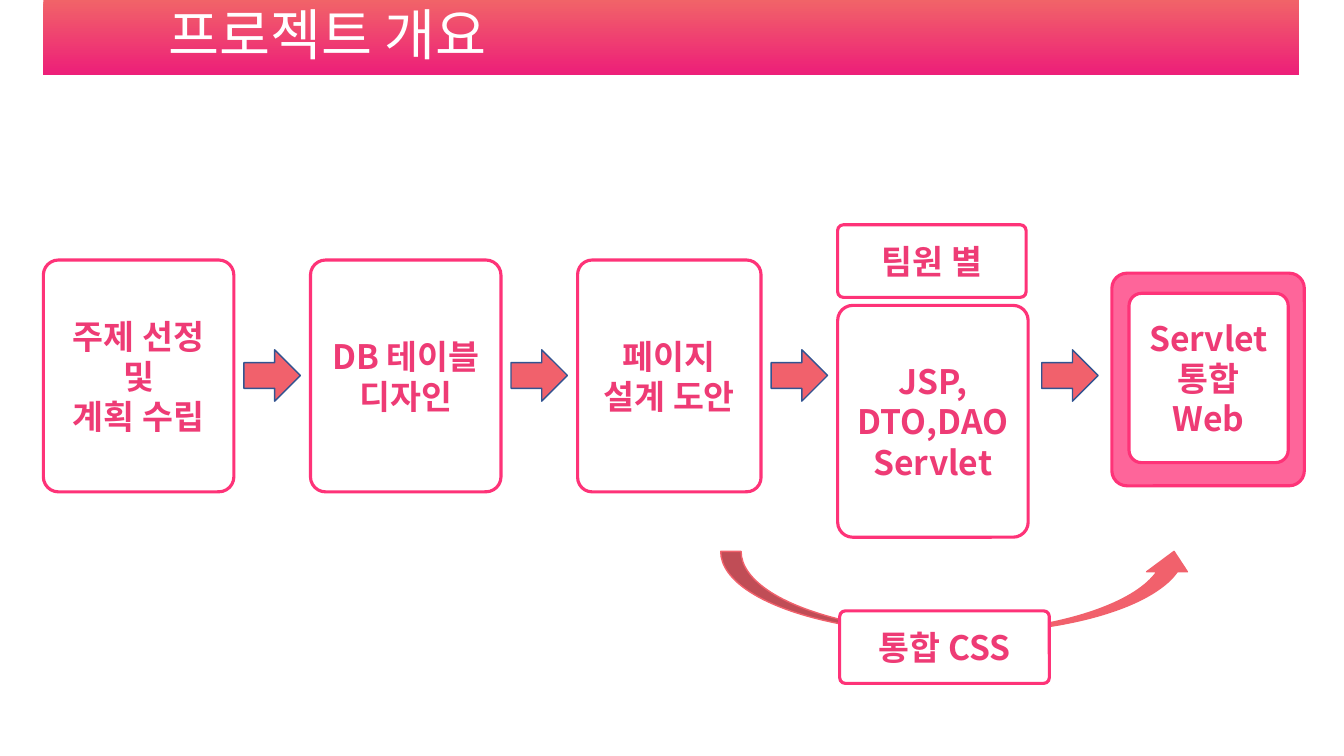
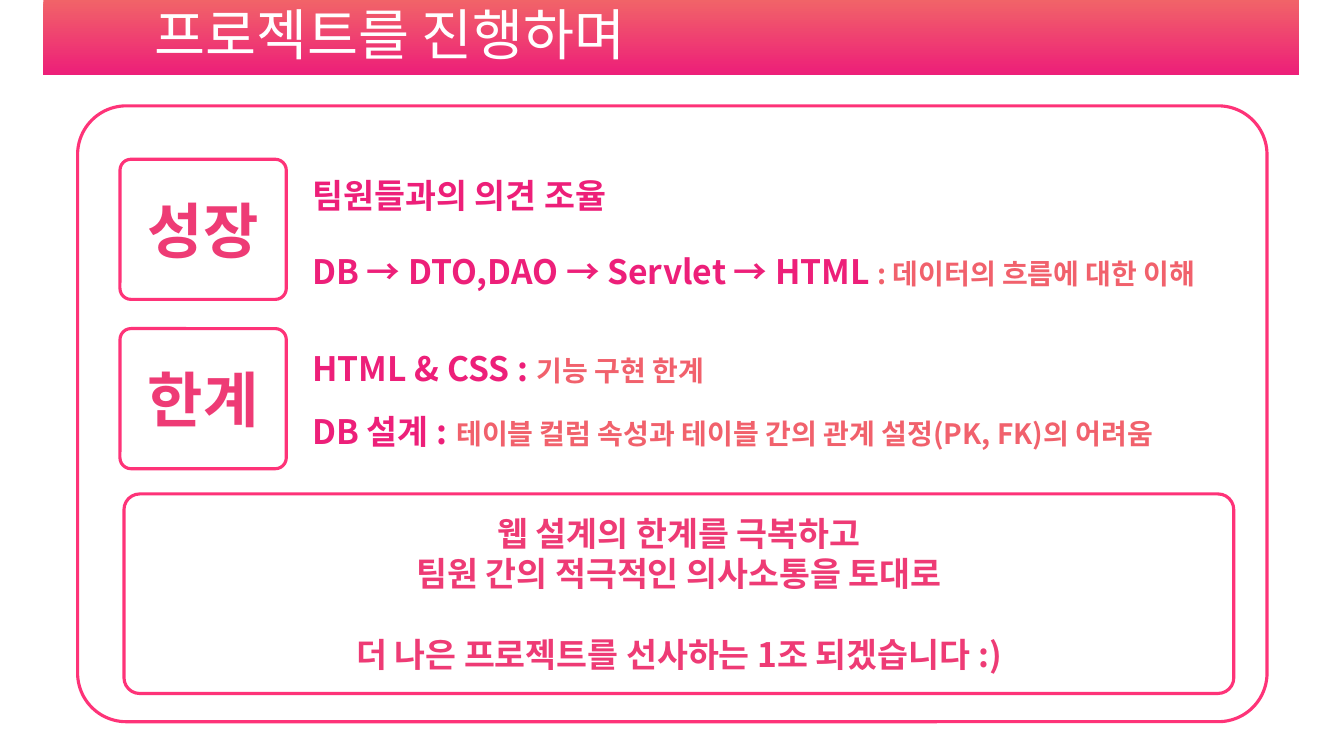
from lxml import etree
from pptx import Presentation
from pptx.dml.color import RGBColor
from pptx.enum.shapes import MSO_SHAPE
from pptx.enum.text import MSO_ANCHOR, MSO_AUTO_SIZE, PP_ALIGN
from pptx.oxml.ns import qn
from pptx.util import Inches, Pt

ROUNDED = MSO_SHAPE.ROUNDED_RECTANGLE
RIGHT_ARROW = MSO_SHAPE.RIGHT_ARROW
CURVED_ARROW = MSO_SHAPE.CURVED_UP_ARROW
LEFT, CENTER = PP_ALIGN.LEFT, PP_ALIGN.CENTER

# Grid: square cells, 133.33 columns by 75 rows
CELL = 0.1
COLUMNS, ROWS = 133.33, 75

# Palette and fonts
WHITE, ROSE, TEXT_PINK = "FFFFFF", "FE3378", "EE3B75"
MAGENTA, CORAL, BAND_TOP = "ED1F79", "F1616C", "F16368"
PANEL_PINK, ARROW_EDGE = "FE659A", "325491"
KOREAN, TITLE_FONT = "Noto Sans CJK KR", "Arial"

# Layouts of the default template
TWO_CONTENT, TITLE_ONLY = 3, 5


def color(hex_string):
    return RGBColor.from_string(hex_string)


def cells(*lengths):
    return [Inches(length * CELL) for length in lengths]


def write(frame, paragraphs, size=24, ink=TEXT_PINK, bold=True, font=KOREAN,
          align=CENTER, spacing=Pt(28.8), gaps=(), inset=0.05):
    """Each paragraph is a string or a list of (text, size, ink) runs."""
    frame.word_wrap = True
    frame.auto_size = MSO_AUTO_SIZE.NONE
    frame.vertical_anchor = MSO_ANCHOR.MIDDLE
    frame.margin_left = Inches(inset)
    frame.margin_right = Inches(0.05)
    frame.margin_top = frame.margin_bottom = 0
    for index, content in enumerate(paragraphs):
        paragraph = frame.paragraphs[0] if index == 0 else frame.add_paragraph()
        paragraph.alignment = align
        paragraph.line_spacing = spacing
        paragraph.space_before = Pt(gaps[index] if gaps else 0)
        runs = [(content, size, ink)] if isinstance(content, str) else content
        for words, run_size, run_ink in runs:
            run = paragraph.add_run()
            run.text = words
            run.font.size = Pt(run_size)
            run.font.bold = bold
            run.font.color.rgb = color(run_ink)
            run.font.name = font
            properties = run.font._element
            etree.SubElement(properties, qn("a:ea"), typeface=KOREAN)


class Deck:
    def __init__(self):
        self.show = Presentation()
        self.show.slide_width, self.show.slide_height = cells(COLUMNS, ROWS)
        self.slide = None

    def place(self, part, left, top, width, height):
        part.left, part.top, part.width, part.height = cells(left, top, width, height)

    def page(self, layout, heading, indent):
        """Start a slide with the gradient title band."""
        self.slide = self.show.slides.add_slide(self.show.slide_layouts[layout])
        band = self.slide.shapes.title
        self.place(band, 4.3, 0, 124.6, 7.4)
        band.fill.gradient()
        band.fill.gradient_angle = 270
        for stop, shade in zip(band.fill.gradient_stops, (BAND_TOP, MAGENTA)):
            stop.color.rgb = color(shade)
        write(band.text_frame, [heading], size=39.6, ink=WHITE, bold=False,
              font=TITLE_FONT, align=LEFT, spacing=0.9, inset=indent)

    def shape(self, kind, area, fill, line, weight):
        part = self.slide.shapes.add_shape(kind, *cells(*area))
        part.shadow.inherit = False
        if fill:
            part.fill.solid()
            part.fill.fore_color.rgb = color(fill)
        else:
            part.fill.background()
        part.line.color.rgb = color(line)
        part.line.width = Pt(weight)
        return part

    def box(self, area, lines=(), fill=None, **text_format):
        frame = self.shape(ROUNDED, area, fill, ROSE, 2.25)
        frame.adjustments[0] = 0.079
        if lines:
            write(frame.text_frame, lines, **text_format)

    def arrow(self, area, kind=RIGHT_ARROW, line=ARROW_EDGE):
        self.shape(kind, area, CORAL, line, 1)

    def points(self, index, area, lines, gap):
        """Fill a body placeholder with unbulleted lines."""
        body = self.slide.placeholders[index]
        self.place(body, *area)
        write(body.text_frame, lines, ink=MAGENTA, align=LEFT,
              gaps=(0, gap), inset=0.1)
        for paragraph in body.text_frame.paragraphs:
            properties = paragraph._p.get_or_add_pPr()
            properties.set("marL", "0")
            properties.set("indent", "0")
            etree.SubElement(properties, qn("a:buNone"))


def overview(deck):
    deck.page(TITLE_ONLY, "프로젝트 개요", 1.24)

    # Process steps: left, top, width, height, lines
    steps = [
        (4.3, 25.8, 18.9, 23, ["주제 선정", "및", "계획 수립"]),
        (30.8, 25.8, 18.9, 23, ["DB 테이블", "디자인"]),
        (57.3, 25.8, 18.2, 23, ["페이지", "설계 도안"]),
        (83.1, 30.3, 18.9, 23, ["JSP,", "DTO,DAO", "Servlet"]),
        (110.3, 27.1, 19.1, 21.1, []),
    ]
    for *area, lines in steps:
        deck.box(area, lines, fill=None if lines else PANEL_PINK)
    deck.box((112, 29.1, 15.8, 16.8), ["Servlet", "통합", "Web"], fill=WHITE)
    deck.box((83.1, 22.3, 18.7, 7.2), ["팀원 별"])

    # An arrow centred in each gap
    arrow_width = 5.6
    for step, following in zip(steps, steps[1:]):
        middle = (step[0] + step[2] + following[0]) / 2
        deck.arrow((middle - arrow_width / 2, 34.7, arrow_width, 5.1))

    # Shared styling loop
    deck.arrow((71.5, 54.7, 47, 8.1), CURVED_ARROW, CORAL)
    deck.box((83.3, 60.6, 20.8, 7.2), ["통합 CSS"], fill=WHITE)


def reflection(deck):
    deck.page(TWO_CONTENT, "프로젝트를 진행하며", 1.1)
    deck.box((7.7, 10.5, 118, 61.1))

    # Growth and limits: heading, heading top, list top, gap, lines
    topics = [
        ("성장", 15.8, 16.2, 25.5, [
            "팀원들과의 의견 조율",
            [("DB → DTO,DAO → Servlet → HTML ", 24, MAGENTA),
             (": 데이터의 흐름에 대한 이해", 20, CORAL)],
        ]),
        ("한계", 32.6, 32.8, 16.5, [
            [("HTML & CSS :", 24, MAGENTA), (" ", 28, MAGENTA),
             ("기능 구현 한계", 20, CORAL)],
            [("DB 설계 :", 24, MAGENTA), (" ", 28, MAGENTA),
             ("테이블 컬럼 속성과 테이블 간의 관계 설정(PK, FK)의 어려움", 20, CORAL)],
        ]),
    ]
    for index, (heading, top, list_top, gap, lines) in enumerate(topics, start=1):
        deck.box((11.9, top, 16.5, 13.9), [heading], fill=WHITE, size=43, spacing=Pt(51.6))
        deck.points(index, (30, list_top, 95.5, 13.9), lines, gap)

    # Closing pledge
    deck.box((12.3, 49, 110.1, 19.8), [
        "웹 설계의 한계를 극복하고",
        "팀원 간의 적극적인 의사소통을 토대로",
        "더 나은 프로젝트를 선사하는 1조 되겠습니다 :)",
    ], fill=WHITE, gaps=(0, 0, 28.8))


def main():
    deck = Deck()
    overview(deck)
    reflection(deck)
    deck.show.save("out.pptx")


if __name__ == "__main__":
    main()
